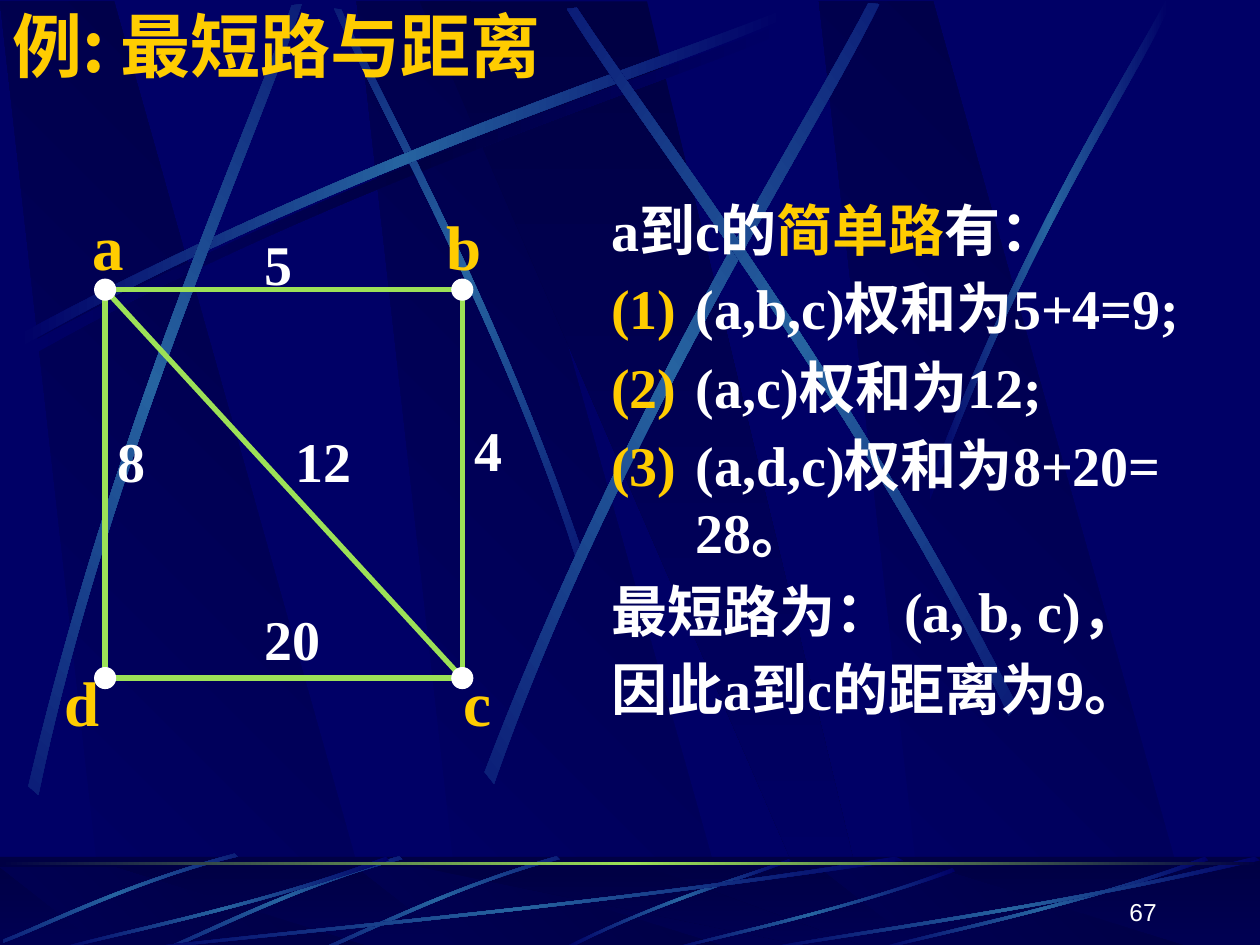
from pptx import Presentation
from pptx.dml.color import RGBColor
from pptx.enum.shapes import MSO_CONNECTOR, MSO_SHAPE as Preset
from pptx.enum.text import MSO_ANCHOR as Anchor, PP_ALIGN as Align
from pptx.oxml import parse_xml
from pptx.oxml.ns import nsdecls, qn
from pptx.util import Cm, Pt

NAVY, NIGHT, STEEL = "000066", "000044", "2663A0"
GOLD, WHITE, GREEN = "FFCC00", "FFFFFF", "9CE157"
SERIF, HAN = "Times New Roman", "Noto Sans CJK SC"
GLOW = (NAVY, STEEL, NAVY)

PANEL = [(0.28, 1), (1, 1), (0.3, 0), (0, 0)]
CENTRE_PANEL = [(0, 0), (0.9, 1), (1, 1), (0.5, 0)]
STREAK = [(0, 0.96), (0.43, 0.43), (0.83, 0.15), (0.99, 0),
          (1, 0.02), (0.83, 0.19), (0.38, 0.5), (0, 1)]
FLAT_STREAK = [(1, 0.04), (0.57, 0.57), (0.17, 0.85), (0.01, 1),
               (0, 0.99), (0.16, 0.81), (0.62, 0.51), (0.99, 0)]


def color(code):
    return RGBColor.from_string(code)


def fill_gradient(shape, colors, angle):
    step = 100000 // (len(colors) - 1)
    stops = "".join(f'<a:gs pos="{i * step}"><a:srgbClr val="{code}"/></a:gs>'
                    for i, code in enumerate(colors))
    gradient = parse_xml(f'<a:gradFill {nsdecls("a")} rotWithShape="1"><a:gsLst>{stops}</a:gsLst>'
                         f'<a:lin ang="{angle * 60000}" scaled="0"/></a:gradFill>')
    shape.fill.background()
    props = shape.element.spPr
    props.replace(props.find(qn("a:noFill")), gradient)
    shape.line.fill.background()
    shape.shadow.inherit = False


def add_outline(slide, unit_points, box, colors, angle):
    left, top, width, height = box
    points = [(Cm(left + x * width), Cm(top + y * height)) for x, y in unit_points]
    builder = slide.shapes.build_freeform(*points[0])
    builder.add_line_segments(points[1:], close=True)
    outline = builder.convert_to_shape()
    fill_gradient(outline, colors, angle)
    return outline


def add_streak(slide, box, turn=0, mirrored=False, controls=STREAK, colors=GLOW):
    if mirrored:
        controls = [(1 - x, y) for x, y in controls]
    streak = add_outline(slide, controls, box, colors, 0)
    streak.rotation = turn
    segments = list(streak.element.iter(qn("a:lnTo")))
    for edge in (segments[:3], segments[4:7]):
        bend = parse_xml(f'<a:cubicBezTo {nsdecls("a")}/>')
        edge[0].addprevious(bend)
        for segment in edge:
            bend.append(segment[0])
            segment.getparent().remove(segment)


def add_panels(slide, top, height):
    for left in (7.19, 0, 16.51):
        add_outline(slide, PANEL, (left, top, 7.67, height), (NAVY, NIGHT), 315)
    add_outline(slide, CENTRE_PANEL, (8.46, top, 9.17, height), (NIGHT, NAVY), 90)


def add_preset(slide, preset, left, top, width, height):
    shape = slide.shapes.add_shape(preset, Cm(left), Cm(top), Cm(width), Cm(height))
    shape.shadow.inherit = False
    return shape


def add_backdrop(slide):
    slide.background.fill.solid()
    slide.background.fill.fore_color.rgb = color(NAVY)
    add_panels(slide, 0.03, 19.08)
    add_streak(slide, (0.51, 0.46, 15.44, 6.78), colors=(NAVY, NIGHT, NAVY))
    for box, turn, mirrored in [
        ((3.58, 3.43, 11.23, 4.45), 45, True),
        ((0.36, 0.25, 15.44, 6.78), 0, False),
        ((-4.34, 4.62, 15.44, 6.78), 311.7, False),
        ((5.87, 4.06, 15.85, 7.65), 321.6, False),
        ((8.2, 3.86, 15.44, 6.78), 34.7, True),
        ((18.75, 0, 4.8, 10.08), 0, False),
    ]:
        add_streak(slide, box, turn, mirrored)


def add_floor(slide):
    band = (0, 17.27, 25.4, 1.9)
    fill_gradient(add_preset(slide, Preset.RECTANGLE, *band), (NIGHT, NAVY), 90)
    add_panels(slide, 17.48, 1.68)
    veil = add_preset(slide, Preset.RECTANGLE, *band)
    veil.fill.solid()
    veil.fill.fore_color.rgb = color(NIGHT)
    tint = veil.element.spPr.find(qn("a:solidFill"))[0]
    tint.append(parse_xml(f'<a:alpha {nsdecls("a")} val="50000"/>'))
    veil.line.fill.background()
    add_streak(slide, (11.38, 17.32, 4.57, 1.85))
    for box in ((6.55, 17.17, 4.67, 2.11), (3.38, 17.17, 4.67, 2.11), (0.13, 17.04, 4.57, 2.16)):
        add_streak(slide, box, 315, True)
    for box in [
        (2.54, 17.27, 15.67, 1.9), (1.07, 17.27, 6.78, 1.9), (13.39, 17.5, 5.87, 1.68),
        (17.58, 17.27, 6.78, 1.9), (15.24, 17.27, 10.16, 1.9),
    ]:
        add_streak(slide, box, controls=FLAT_STREAK)
    horizon = add_preset(slide, Preset.RECTANGLE, 0, 17.37, 25.4, 0.06)
    fill_gradient(horizon, (NIGHT, GREEN, NIGHT), 0)


def format_run(run, size, code, latin=SERIF, bold=True):
    run.font.size = Pt(size)
    run.font.bold = bold
    run.font.name = latin
    run.font.color.rgb = color(code)
    run.font._element.find(qn("a:latin")).addnext(
        parse_xml(f'<a:ea {nsdecls("a")} typeface="{HAN}"/>'))


def add_text(slide, text, box, size, code, latin=SERIF, bold=True, wrap=True,
             anchor=Anchor.TOP, align=Align.LEFT):
    frame = slide.shapes.add_textbox(*(Cm(length) for length in box)).text_frame
    frame.word_wrap = wrap
    frame.vertical_anchor = anchor
    frame.text = text
    frame.paragraphs[0].alignment = align
    format_run(frame.paragraphs[0].runs[0], size, code, latin, bold)


def add_solution(slide):
    frame = slide.shapes.add_textbox(Cm(12.07), Cm(3.81), Cm(12.5), Cm(12.27)).text_frame
    frame.word_wrap = True
    for index, (parts, numbered) in enumerate([
        ((("a到c的", WHITE), ("简单路", GOLD), ("有：", WHITE)), False),
        ((("(a,b,c)权和为5+4=9;", WHITE),), True),
        ((("(a,c)权和为12;", WHITE),), True),
        ((("(a,d,c)权和为8+20= 28。", WHITE),), True),
        ((("最短路为： (a, b, c)，", WHITE),), False),
        ((("因此a到c的距离为9。", WHITE),), False),
    ]):
        line = frame.add_paragraph() if index else frame.paragraphs[0]
        if index:
            line.space_before = Pt(6.4)
        props = line._p.get_or_add_pPr()
        props.set("marL", str(Cm(1.7)))
        props.set("indent", str(-Cm(1.7)))
        if numbered:
            props.append(parse_xml(f'<a:buClr {nsdecls("a")}><a:srgbClr val="{GOLD}"/></a:buClr>'))
            props.append(parse_xml(f'<a:buAutoNum {nsdecls("a")} type="arabicParenBoth"/>'))
        for text, code in parts:
            run = line.add_run()
            run.text = text
            format_run(run, 32, code)


def add_graph(slide):
    left, top, right, bottom = 2.12, 5.84, 9.32, 13.67
    square = add_preset(slide, Preset.RECTANGLE, left, top, right - left, bottom - top)
    square.fill.background()
    diagonal = slide.shapes.add_connector(
        MSO_CONNECTOR.STRAIGHT, Cm(left), Cm(top), Cm(right), Cm(bottom))
    diagonal._element.spPr.append(parse_xml(f'<a:effectLst {nsdecls("a")}/>'))
    for edge in (square, diagonal):
        edge.line.color.rgb = color(GREEN)
        edge.line.width = Pt(3)
    radius = 0.21
    for x in (left, right):
        for y in (top, bottom):
            vertex = add_preset(slide, Preset.OVAL, x - radius, y - radius, 2 * radius, 2 * radius)
            vertex.fill.solid()
            vertex.fill.fore_color.rgb = color(WHITE)
            vertex.line.color.rgb = color(WHITE)
            vertex.line.width = Pt(0.75)
    for name, x, y, width in (("a", 1.61, 4.06, 1.14), ("b", 8.75, 4.06, 1.22),
                              ("c", 9.09, 13.26, 1.07), ("d", 1.06, 13.26, 1.22)):
        add_text(slide, name, (x, y, width, 1.78), 36, GOLD, wrap=False)
    for weight, x, y in (("5", 5.08, 4.5), ("12", 5.71, 8.47), ("4", 9.31, 8.26),
                         ("8", 2.12, 8.47), ("20", 5.08, 12.07)):
        add_text(slide, weight, (x, y, 0.5 + 0.57 * len(weight), 1.6), 32, WHITE, wrap=False)


def main():
    deck = Presentation()
    deck.slide_width, deck.slide_height = Cm(25.4), Cm(19.05)
    slide = deck.slides.add_slide(deck.slide_layouts[6])
    add_backdrop(slide)
    add_floor(slide)
    add_text(slide, "例: 最短路与距离", (0, -0.08, 22.66, 1.96), 40, GOLD, HAN, anchor=Anchor.MIDDLE)
    add_solution(slide)
    add_graph(slide)
    add_text(slide, "67", (18.29, 17.53, 5.28, 1.27), 14, WHITE, "Arial", False,
             anchor=Anchor.BOTTOM, align=Align.RIGHT)
    deck.save("out.pptx")


if __name__ == "__main__":
    main()
